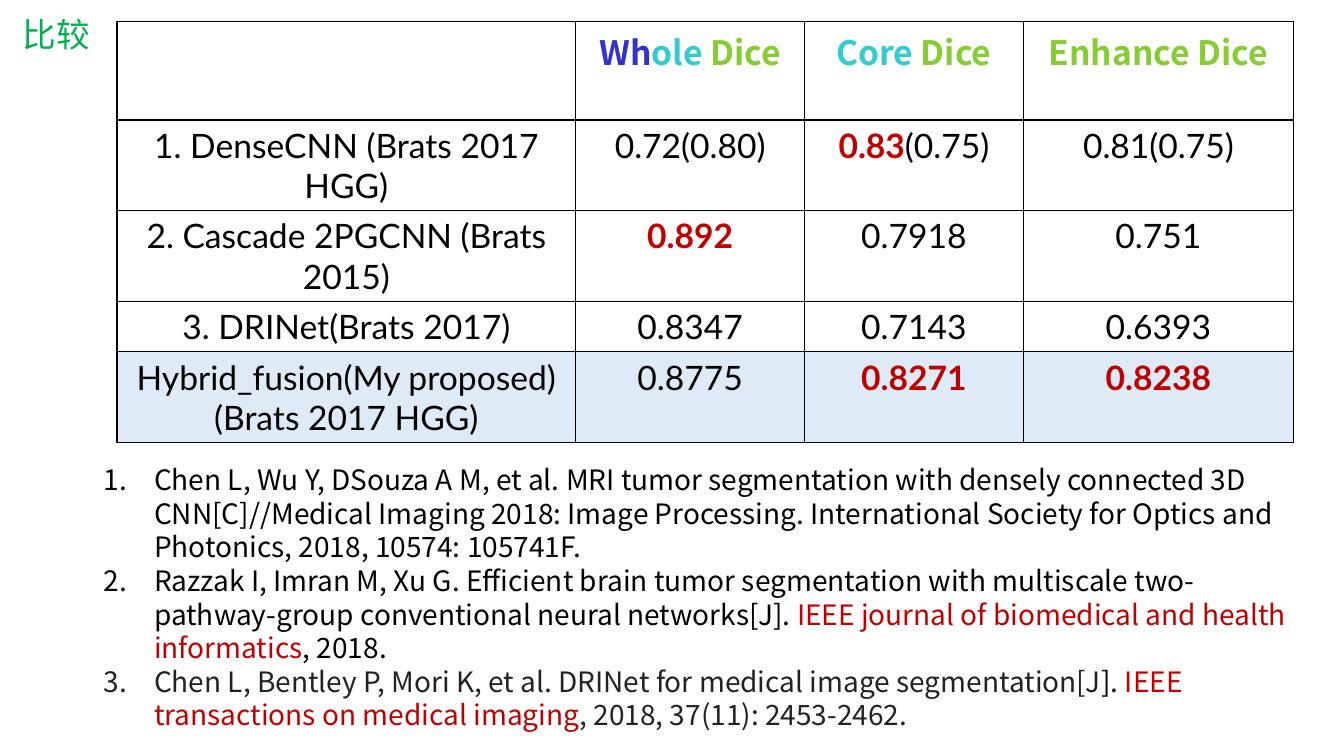
from dataclasses import dataclass

from lxml import etree
from pptx import Presentation
from pptx import util as u
from pptx.dml.color import RGBColor
from pptx.enum import text
from pptx.oxml import ns


@dataclass(frozen=True)
class Theme:
    latin: str = "Lato"
    sans: str = "Noto Sans CJK SC"
    table_size: int = 24
    reference_size: int = 20
    black: str = "000000"
    gray: str = "222222"
    white: str = "FFFFFF"
    red: str = "C00000"
    green: str = "00B050"
    indigo: str = "3333CC"
    teal: str = "33CCCC"
    lime: str = "88CC33"
    highlight: str = "DEEBF7"
    border: float = 1


THEME = Theme()


def add_span(para, words, *, font, size, color=THEME.black, bold=False):
    """Append formatted text to a paragraph."""
    span = para.add_run()
    span.text = words
    span.font.name = font
    span.font.size = u.Pt(size)
    span.font.bold = bold
    span.font.color.rgb = RGBColor.from_string(color)


class SlideBuilder:
    def __init__(self, slide, theme):
        self.slide = slide
        self.theme = theme

    def text_box(self, left, top, width, height):
        box = self.slide.shapes.add_textbox(
            *(u.Inches(n) for n in (left, top, width, height)))
        box.text_frame.word_wrap = True
        box.text_frame.auto_size = text.MSO_AUTO_SIZE.SHAPE_TO_FIT_TEXT
        return box.text_frame

    def label(self, words, left, top, width, height):
        frame = self.text_box(left, top, width, height)
        add_span(frame.paragraphs[0], words, font=self.theme.latin,
                 size=self.theme.table_size, color=self.theme.green)

    def numbered_list(self, items, left, top, width, height, indent=0.5):
        frame = self.text_box(left, top, width, height)
        for index, item in enumerate(items):
            para = frame.add_paragraph() if index else frame.paragraphs[0]
            properties = para._p.get_or_add_pPr()
            properties.set("marL", str(u.Inches(indent)))
            properties.set("indent", str(-u.Inches(indent)))
            etree.SubElement(properties, ns.qn("a:buAutoNum"), type="arabicPeriod")
            for words, color in item:
                add_span(para, words, font=self.theme.sans,
                         size=self.theme.reference_size, color=color)

    def border_cell(self, cell):
        properties = cell._tc.get_or_add_tcPr()
        for side in ("lnL", "lnR", "lnT", "lnB"):
            line = etree.SubElement(properties, ns.qn(f"a:{side}"),
                                    w=str(u.Pt(self.theme.border)))
            fill = etree.SubElement(line, ns.qn("a:solidFill"))
            etree.SubElement(fill, ns.qn("a:srgbClr"), val=self.theme.black)

    def table(self, rows, left, top, widths, heights):
        table = self.slide.shapes.add_table(
            len(heights), len(widths), u.Inches(left), u.Inches(top),
            u.Inches(sum(widths)), u.Inches(sum(heights))).table
        table.first_row = table.horz_banding = False
        for column, width in zip(table.columns, widths):
            column.width = u.Inches(width)
        for row, height in zip(table.rows, heights):
            row.height = u.Inches(height)
        last = len(rows) - 1
        for r, row in enumerate(rows):
            for c, spans in enumerate(row):
                cell = table.cell(r, c)
                self.border_cell(cell)
                cell.fill.solid()
                cell.fill.fore_color.rgb = RGBColor.from_string(
                    self.theme.highlight if r == last else self.theme.white)
                para = cell.text_frame.paragraphs[0]
                para.alignment = text.PP_ALIGN.CENTER
                for words, color in spans:
                    add_span(para, words, size=self.theme.table_size, color=color,
                             font=self.theme.latin if r else self.theme.sans,
                             bold=color != self.theme.black)


def plain(words):
    return [(words, THEME.black)]


def best(words):
    return [(words, THEME.red)]


HEADER = [
    [],
    [("Wh", THEME.indigo), ("ole ", THEME.teal), ("Dice", THEME.lime)],
    [("Core ", THEME.teal), ("Dice", THEME.lime)],
    [("Enhance Dice", THEME.lime)],
]
SCORES = [
    [plain("1. DenseCNN (Brats 2017 HGG)"), plain("0.72(0.80)"),
     best("0.83") + plain("(0.75)"), plain("0.81(0.75)")],
    [plain("2. Cascade 2PGCNN (Brats 2015)"), best("0.892"),
     plain("0.7918"), plain("0.751")],
    [plain("3. DRINet(Brats 2017)"), plain("0.8347"),
     plain("0.7143"), plain("0.6393")],
    [plain("Hybrid_fusion(My proposed)(Brats 2017 HGG)"), plain("0.8775"),
     best("0.8271"), best("0.8238")],
]
REFERENCES = [
    plain("Chen L, Wu Y, DSouza A M, et al. MRI tumor segmentation with densely "
          "connected 3D CNN[C]//Medical Imaging 2018: Image Processing. "
          "International Society for Optics and Photonics, 2018, 10574: 105741F."),
    [("Razzak I, Imran M, Xu G. Efficient brain tumor segmentation with multiscale "
      "two-pathway-group conventional neural networks[J]. ", THEME.black),
     ("IEEE journal of biomedical and health informatics", THEME.red),
     (", 2018.", THEME.black)],
    [("Chen L, Bentley P, Mori K, et al. DRINet for medical image segmentation[J",
      THEME.gray),
     ("].", THEME.black),
     (" IEEE transactions on medical imaging", THEME.red),
     (", 2018, 37(11): 2453-2462.", THEME.gray)],
]


def main():
    deck = Presentation()
    deck.slide_width, deck.slide_height = u.Inches(13.33), u.Inches(7.5)
    page = SlideBuilder(deck.slides.add_slide(deck.slide_layouts[6]), THEME)

    # Score comparison
    page.table([HEADER] + SCORES, 1.16, 0.21, widths=[4.55, 2.27, 2.17, 2.68],
               heights=[0.98, 0.9, 0.9, 0.5, 0.9])

    # Slide label
    page.label("比较", 0.13, 0.09, 4.27, 0.5)

    # Cited papers
    page.numbered_list(REFERENCES, 0.93, 4.54, 12.13, 2.79)

    deck.save("out.pptx")


if __name__ == "__main__":
    main()
